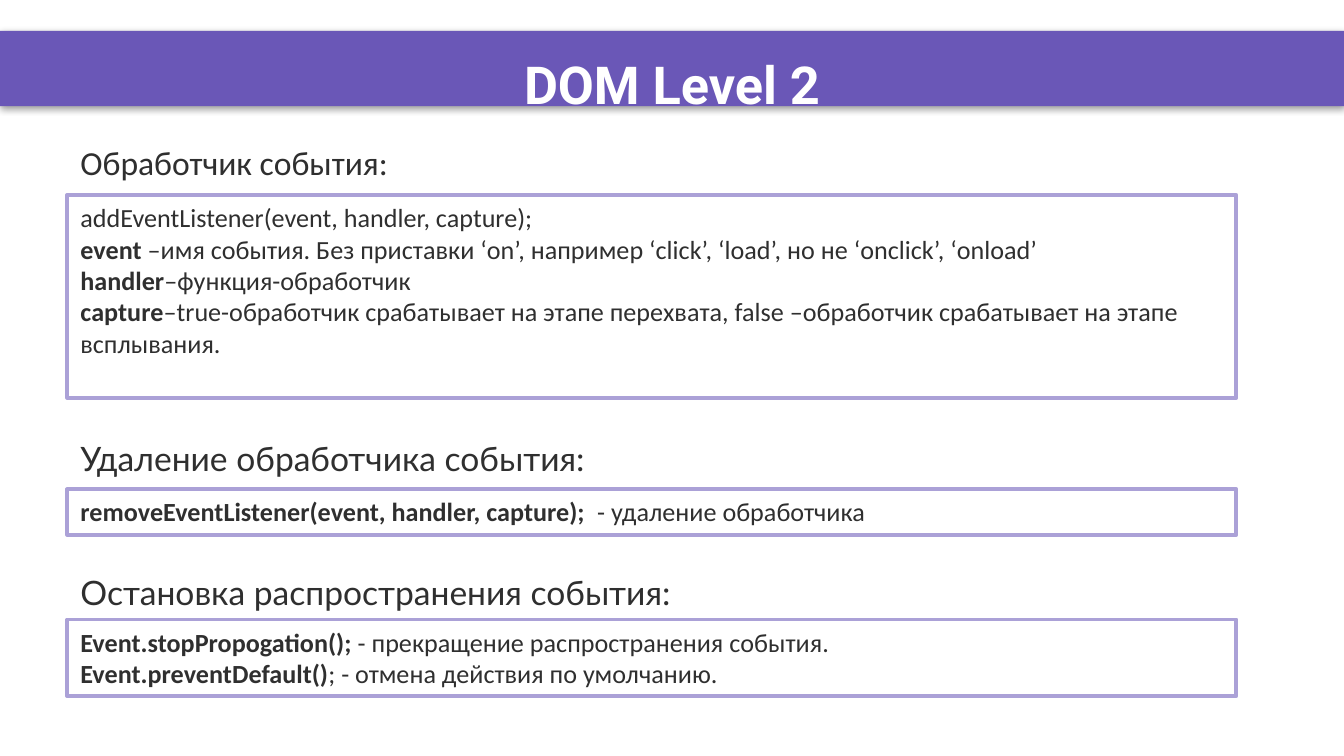
from lxml import etree
from pptx import Presentation
from pptx.dml.color import RGBColor
from pptx.enum.shapes import MSO_SHAPE
from pptx.enum.text import MSO_ANCHOR, PP_ALIGN
from pptx.oxml.ns import qn
from pptx.util import Inches, Pt

RECTANGLE = MSO_SHAPE.RECTANGLE
TOP, MIDDLE = MSO_ANCHOR.TOP, MSO_ANCHOR.MIDDLE
LEFT, CENTER = PP_ALIGN.LEFT, PP_ALIGN.CENTER

PURPLE = RGBColor(0x6A, 0x57, 0xB7)
LILAC = RGBColor(0xAB, 0xA1, 0xD7)
WHITE = RGBColor(0xFF, 0xFF, 0xFF)
DARK = RGBColor(0x2F, 0x2F, 0x2F)

SLIDE_WIDTH = 10
SLIDE_HEIGHT = SLIDE_WIDTH * 9 / 16
MARGIN, CONTENT_WIDTH, HEADING_HEIGHT = 0.5, 8.7, 0.4

# Heading, its font, width and top, box top and height, lines of (text, bold) runs
SECTIONS = [
    ("Обработчик события:", "Calibri", 2.58, 1.01, 1.45, 1.51, [
        [("addEventListener(event, handler, capture);", False)],
        [("event ", True),
         ("–имя события. Без приставки ‘on’, например ‘click’, ‘load’, "
          "но не ‘onclick’, ‘onload’", False)],
        [("handler", True), ("–функция-обработчик", False)],
        [("сapture", True),
         ("–true-обработчик срабатывает на этапе перехвата, "
          "false –обработчик срабатывает на этапе всплывания.", False)],
    ]),
    ("Удаление обработчика события:", "Lato", 4.02, 3.21, 3.64, 0.34, [
        [("removeEventListener(event, handler, capture);  ", True),
         ("- удаление обработчика", False)],
    ]),
    ("Остановка распространения события:", "Lato", 4.76, 4.21, 4.61, 0.57, [
        [("Event.stopPropogation(); ", True),
         ("- прекращение распространения события.", False)],
        [("Event.preventDefault()", True),
         ("; - отмена действия по умолчанию.", False)],
    ]),
]


def write_lines(shape, lines, font_name, size, color,
                align=LEFT, anchor=TOP, wrap=True):
    """Fill a shape with paragraphs made of (text, bold) runs."""
    text_frame = shape.text_frame
    text_frame.word_wrap = wrap
    text_frame.vertical_anchor = anchor
    for index, runs in enumerate(lines):
        paragraph = text_frame.add_paragraph() if index else text_frame.paragraphs[0]
        paragraph.alignment = align
        for text, bold in runs:
            run = paragraph.add_run()
            run.text = text
            run.font.name = font_name
            run.font.size = Pt(size)
            run.font.bold = bold
            run.font.color.rgb = color


def add_rectangle(slide, left, top, width, height, fill):
    shape = slide.shapes.add_shape(
        RECTANGLE, Inches(left), Inches(top), Inches(width), Inches(height))
    shape.shadow.inherit = False
    shape.fill.solid()
    shape.fill.fore_color.rgb = fill
    return shape


def add_drop_shadow(shape):
    effects = shape._element.spPr.find(qn("a:effectLst"))
    shadow = etree.SubElement(
        effects, qn("a:outerShdw"), blurRad=str(Pt(4)), dist=str(Pt(1)),
        dir="5400000", algn="t", rotWithShape="0")
    color = etree.SubElement(shadow, qn("a:srgbClr"), val="000000")
    etree.SubElement(color, qn("a:alpha"), val="40000")


def add_title_bar(slide, left, top, width, height):
    bar = add_rectangle(slide, left, top, width, height, PURPLE)
    bar.line.fill.background()
    add_drop_shadow(bar)
    # The title box is taller than the bar, so its text sits low
    title = slide.shapes.add_textbox(
        Inches(left + MARGIN), Inches(top), Inches(width - 2 * MARGIN), Inches(0.78))
    write_lines(title, [[("DOM Level 2", True)]], "Roboto", 28, WHITE, CENTER, MIDDLE)


def add_section(slide, left, width, section):
    heading, heading_font, heading_width, heading_top, box_top, box_height, lines = section
    # Outlined code box
    box = add_rectangle(slide, left, box_top, width, box_height, WHITE)
    box.line.color.rgb = LILAC
    box.line.width = Pt(2)
    write_lines(box, lines, "Calibri", 14, DARK)
    # Heading above it
    heading_box = slide.shapes.add_textbox(
        Inches(left), Inches(heading_top), Inches(heading_width), Inches(HEADING_HEIGHT))
    write_lines(heading_box, [[(heading, False)]], heading_font, 18, DARK, wrap=False)


def main():
    presentation = Presentation()
    presentation.slide_width = Inches(SLIDE_WIDTH)
    presentation.slide_height = Inches(SLIDE_HEIGHT)
    slide = presentation.slides.add_slide(presentation.slide_layouts[6])
    add_title_bar(slide, 0, 0.23, SLIDE_WIDTH, 0.56)
    for section in SECTIONS:
        add_section(slide, MARGIN, CONTENT_WIDTH, section)
    presentation.save("out.pptx")


if __name__ == "__main__":
    main()
